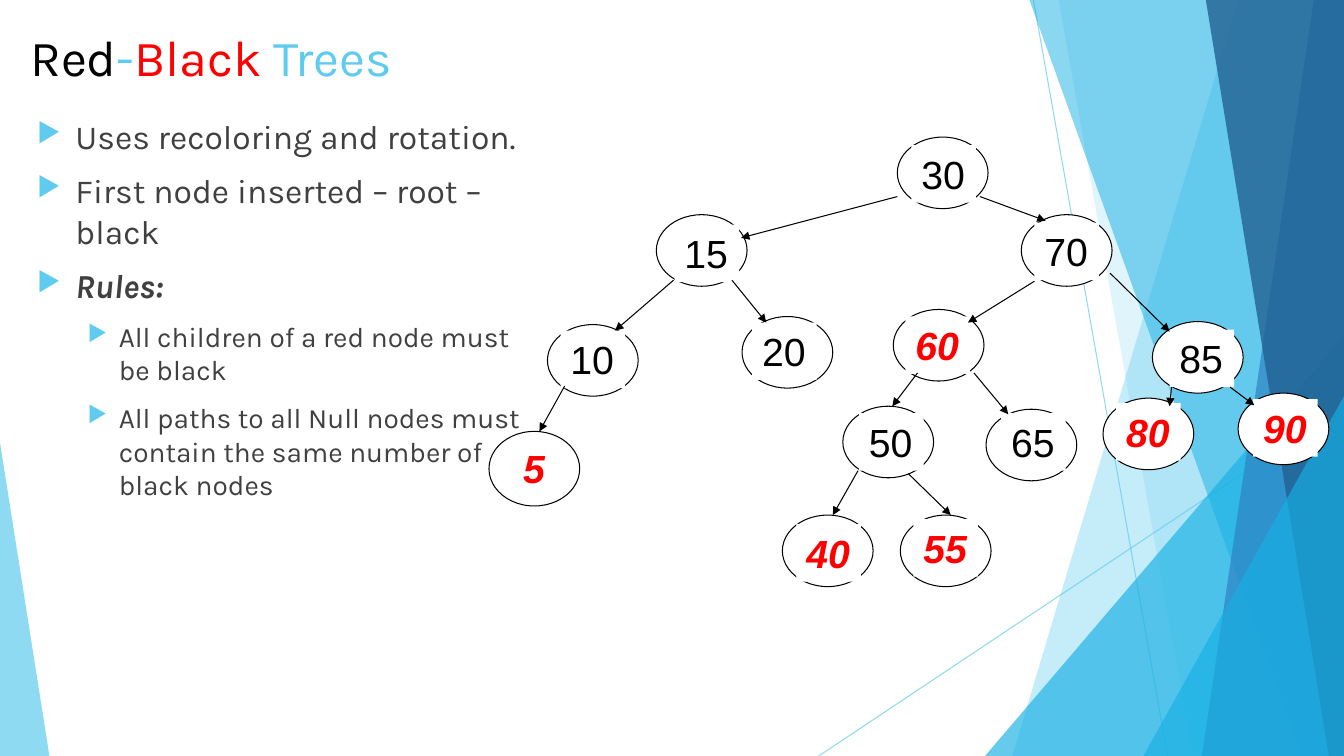
from dataclasses import dataclass

from lxml.etree import SubElement
from pptx import Presentation
from pptx.dml.color import RGBColor
from pptx.enum.shapes import MSO_CONNECTOR, MSO_SHAPE
from pptx.enum.text import MSO_ANCHOR, MSO_AUTO_SIZE, PP_ALIGN
from pptx.oxml.ns import qn
from pptx.util import Pt

PX = 9144  # 100 px to the inch
WIDTH, HEIGHT = 1333, 750
SKY, AZURE, BLUE, NAVY = "5FCBEF", "17B0E4", "2E83C3", "226292"
BLACK, RED, WHITE, GREY = "000000", "FF0000", "FFFFFF", "404040"


@dataclass
class Strip:
    """A pane from a slanted left edge to the right side of the slide."""
    top_x: int
    bottom_x: int
    color: str
    alpha: int


@dataclass
class Corner:
    """A right triangle standing on the bottom of the slide."""
    left: int
    top: int
    width: int
    apex: int
    color: str
    alpha: int


@dataclass
class Node:
    key: int
    left: int
    top: int
    label_left: int
    label_top: int
    red: bool = False
    height: int = 71


@dataclass
class Line:
    x1: int
    y1: int
    x2: int
    y2: int


@dataclass
class Bullet:
    text: str
    size: int = 24
    margin: int = 38
    hang: int = 38
    strong: bool = False


RAYS = [Line(1025, 0, 1158, 750), Line(1333, 403, 812, 750)]
PANES = [
    Strip(1228, 1004, SKY, 36),
    Strip(1050, 1183, SKY, 20),
    Corner(977, 333, 356, 1, AZURE, 66),
    Strip(1021, 1291, AZURE, 50),
    Strip(1303, 1192, BLUE, 70),
    Strip(1196, 1318, NAVY, 80),
    Corner(1134, 393, 199, 1, AZURE, 66),
    Corner(0, 439, 49, 0, SKY, 70),
]
TITLE = [("Red", BLACK), ("-", SKY), ("Black", RED), (" Trees", SKY)]
BULLETS = [
    Bullet("Uses recoloring and rotation."),
    Bullet("First node inserted – root – black"),
    Bullet("Rules:", strong=True),
    Bullet("All children of a red node must be black", 20, 81, 31),
    Bullet("All paths to all Null nodes must contain the same number of black nodes", 20, 81, 31),
]
NODES = [
    Node(30, 890, 136, 904, 144),
    Node(15, 651, 213, 669, 223),
    Node(70, 1013, 213, 1026, 221),
    Node(85, 1143, 319, 1160, 327),
    Node(80, 1094, 395, 1107, 400, True),
    Node(90, 1228, 390, 1243, 396, True),
    Node(60, 886, 307, 898, 314, True),
    Node(10, 543, 322, 556, 328),
    Node(20, 736, 314, 746, 320),
    Node(50, 836, 403, 852, 410),
    Node(65, 978, 406, 993, 410),
    Node(5, 485, 428, 509, 436, True, 74),
    Node(40, 776, 511, 790, 520, True),
    Node(55, 893, 511, 906, 515, True),
]
EDGES = [
    Line(890, 195, 735, 236),
    Line(972, 195, 1037, 219),
    Line(1101, 271, 1160, 329),
    Line(1162, 384, 1160, 403),
    Line(1220, 384, 1244, 402),
    Line(1026, 279, 960, 320),
    Line(668, 278, 610, 328),
    Line(726, 278, 760, 320),
    Line(910, 370, 885, 403),
    Line(966, 370, 1000, 411),
    Line(560, 383, 535, 428),
    Line(851, 467, 826, 511),
    Line(901, 470, 943, 511),
]


def rgb(color: str) -> RGBColor:
    return RGBColor.from_string(color)


def paint(shape, color: str) -> None:
    shape.fill.solid()
    shape.fill.fore_color.rgb = rgb(color)


def set_alpha(shape, percent: int) -> None:
    color = shape.element.spPr.find(".//" + qn("a:srgbClr"))
    SubElement(color, qn("a:alpha"), val=str(percent * 1000))


def add_run(paragraph, text: str, font: str, size: int, color: str, strong: bool = False) -> None:
    run = paragraph.add_run()
    run.text = text
    run.font.name, run.font.size = font, Pt(size)
    run.font.color.rgb = rgb(color)
    run.font.bold = run.font.italic = strong


def draw_line(shapes, line: Line, color: str):
    connector = shapes.add_connector(
        MSO_CONNECTOR.STRAIGHT, *(v * PX for v in (line.x1, line.y1, line.x2, line.y2)))
    connector.line.width = Pt(0.75)
    connector.line.color.rgb = rgb(color)
    SubElement(connector.element.spPr, qn("a:effectLst"))
    return connector


def draw_pane(shapes, pane: Strip | Corner) -> None:
    if isinstance(pane, Strip):
        outline = shapes.build_freeform(pane.top_x, 0, scale=PX)
        outline.add_line_segments([(WIDTH, 0), (WIDTH, HEIGHT), (pane.bottom_x, HEIGHT)])
        shape = outline.convert_to_shape()
    else:
        shape = shapes.add_shape(
            MSO_SHAPE.ISOSCELES_TRIANGLE, pane.left * PX, pane.top * PX,
            pane.width * PX, (HEIGHT - pane.top) * PX)
        shape.adjustments[0] = pane.apex
    shape.shadow.inherit = False
    shape.line.fill.background()
    paint(shape, pane.color)
    set_alpha(shape, pane.alpha)


def draw_title(title) -> None:
    title.left, title.top, title.width, title.height = (v * PX for v in (20, 21, 940, 101))
    frame = title.text_frame
    frame.auto_size, frame.vertical_anchor = MSO_AUTO_SIZE.NONE, MSO_ANCHOR.TOP
    frame.paragraphs[0].alignment = PP_ALIGN.LEFT
    for text, color in TITLE:
        add_run(frame.paragraphs[0], text, "Karla", 36, color)


def draw_bullets(shapes) -> None:
    frame = shapes.add_textbox(*(v * PX for v in (27, 110, 521, 551))).text_frame
    frame.word_wrap = True
    for i, bullet in enumerate(BULLETS):
        paragraph = frame.add_paragraph() if i else frame.paragraphs[0]
        props = paragraph._p.get_or_add_pPr()
        props.set("marL", str(bullet.margin * PX))
        props.set("indent", str(-bullet.hang * PX))
        SubElement(SubElement(props, qn("a:buClr")), qn("a:srgbClr"), val=SKY)
        SubElement(props, qn("a:buSzPct"), val="80000")
        SubElement(props, qn("a:buChar"), char="▶")
        paragraph.space_before = Pt(10 if i else 0)
        add_run(paragraph, bullet.text, "Karla", bullet.size, GREY, bullet.strong)


def draw_node(shapes, node: Node) -> None:
    ellipse = shapes.add_shape(
        MSO_SHAPE.OVAL, node.left * PX, node.top * PX, 90 * PX, node.height * PX)
    ellipse.shadow.inherit = False
    paint(ellipse, WHITE)
    ellipse.line.color.rgb = rgb(BLACK)
    ellipse.line.width = Pt(0.75)
    key = str(node.key)
    label = shapes.add_textbox(
        node.label_left * PX, node.label_top * PX, (20 + 22 * len(key)) * PX, 57 * PX)
    paint(label, WHITE)
    label.text_frame.word_wrap = False
    add_run(label.text_frame.paragraphs[0], key, "Arial", 28,
            RED if node.red else BLACK, node.red)


def main() -> None:
    deck = Presentation()
    deck.slide_width, deck.slide_height = WIDTH * PX, HEIGHT * PX
    shapes = deck.slides.add_slide(deck.slide_layouts[5]).shapes
    for ray in RAYS:
        set_alpha(draw_line(shapes, ray, SKY), 70)
    for pane in PANES:
        draw_pane(shapes, pane)
    draw_title(shapes.title)
    draw_bullets(shapes)
    for node in NODES:
        draw_node(shapes, node)
    for edge in EDGES:
        arrow = draw_line(shapes, edge, BLACK)
        SubElement(arrow.element.spPr.find(qn("a:ln")), qn("a:tailEnd"), type="triangle")
    deck.save("out.pptx")


if __name__ == "__main__":
    main()
